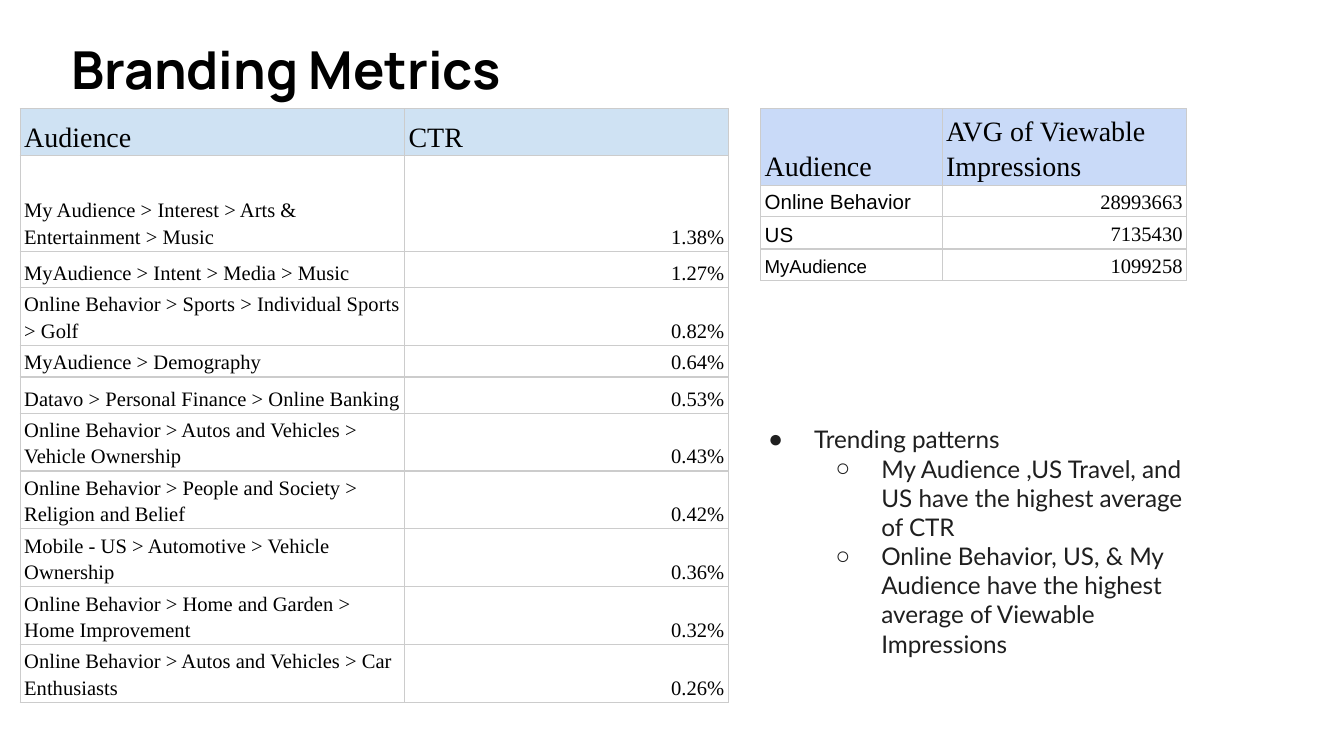
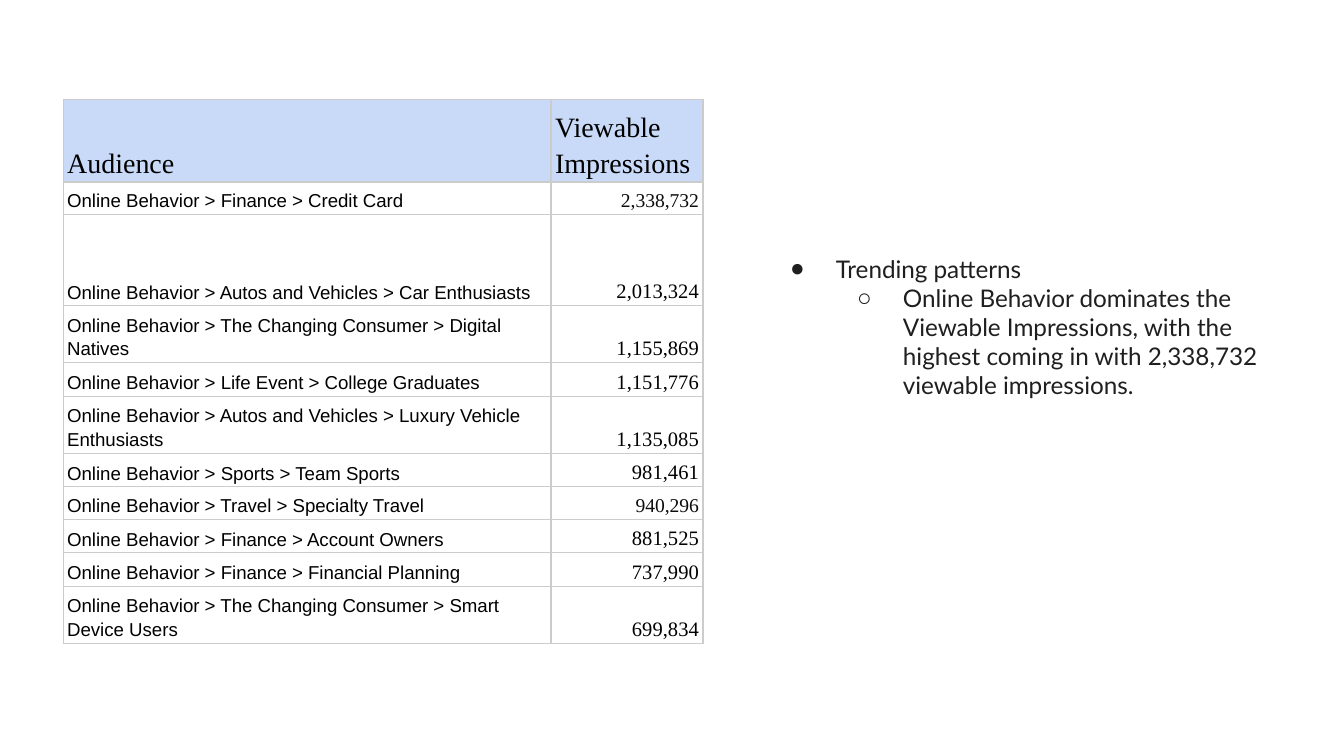
from lxml import etree
from pptx import Presentation
from pptx.dml.color import RGBColor
from pptx.enum.text import MSO_ANCHOR, PP_ALIGN
from pptx.oxml.ns import qn
from pptx.util import Inches, Pt

TOP, LOW = MSO_ANCHOR.TOP, MSO_ANCHOR.BOTTOM
LEFT, RIGHT = PP_ALIGN.LEFT, PP_ALIGN.RIGHT
TITLE_ONLY, BLANK = 5, 6

# Shared look
SERIF, SANS, BODY, HEAD = "Times New Roman", "Arial", "Lato", "Manrope"
BLACK, INK, SOFT, GRID = "000000", "1F1F1F", "0D0D0D", "CCCCCC"
SKY, BLUE = "CFE2F3", "C9DAF8"
MARKS = "●○"
SIDE = 3.28

# Table contents, header first
RATES = [
    ("Audience", "CTR"),
    ("My Audience > Interest > Arts & Entertainment > Music\t", "1.38%"),
    ("MyAudience > Intent > Media > Music", "1.27%"),
    ("Online Behavior > Sports > Individual Sports > Golf\t", "0.82%"),
    ("MyAudience > Demography\t", "0.64%"),
    ("Datavo > Personal Finance > Online Banking\t", "0.53%"),
    ("Online Behavior > Autos and Vehicles > Vehicle Ownership\t", "0.43%"),
    ("Online Behavior > People and Society > Religion and Belief\t", "0.42%"),
    ("Mobile - US > Automotive > Vehicle Ownership\t", "0.36%"),
    ("Online Behavior > Home and Garden > Home Improvement\t", "0.32%"),
    ("Online Behavior > Autos and Vehicles > Car Enthusiasts\t", "0.26%"),
]
MEANS = [
    ("Audience", "AVG of Viewable Impressions"),
    ("Online Behavior", "28993663"),
    ("US", "7135430"),
    ("MyAudience", "1099258"),
]
VIEWS = [
    ("Audience", "Viewable Impressions"),
    ("Online Behavior > Finance > Credit Card", "2,338,732"),
    ("Online Behavior > Autos and Vehicles > Car Enthusiasts", "2,013,324"),
    ("Online Behavior > The Changing Consumer > Digital Natives", "1,155,869"),
    ("Online Behavior > Life Event > College Graduates", "1,151,776"),
    ("Online Behavior > Autos and Vehicles > Luxury Vehicle Enthusiasts\t",
     "1,135,085"),
    ("Online Behavior > Sports > Team Sports\t", "981,461"),
    ("Online Behavior > Travel > Specialty Travel", "940,296"),
    ("Online Behavior > Finance > Account Owners\t", "881,525"),
    ("Online Behavior > Finance > Financial Planning", "737,990"),
    ("Online Behavior > The Changing Consumer > Smart Device Users\t",
     "699,834"),
]


def color(code):
    return RGBColor.from_string(code)


def style(font, face, size, code, bold=False):
    font.name, font.size, font.bold = face, Pt(size), bold
    font.color.rgb = color(code)


def add(parent, tag, **attrs):
    return etree.SubElement(parent, qn(tag), attrs)


def set_frame(frame):
    frame.word_wrap = True
    frame.vertical_anchor = TOP
    frame.margin_left = frame.margin_right = Inches(0.1)
    frame.margin_top = frame.margin_bottom = Inches(0.1)


def add_title(slide, box, text):
    title = slide.shapes.title
    title.left, title.top, title.width, title.height = map(Inches, box)
    frame = title.text_frame
    set_frame(frame)
    frame.text = text
    para = frame.paragraphs[0]
    para.alignment = LEFT
    style(para.runs[0].font, HEAD, 28, BLACK, True)


def add_notes(slide, box, items):
    """Bulleted list; items are (level, text) pairs."""
    frame = slide.shapes.add_textbox(*map(Inches, box)).text_frame
    set_frame(frame)
    frame.text = "\n".join(text for _, text in items)
    for para, (level, _) in zip(frame.paragraphs, items):
        para.level = level
        props = para._p.get_or_add_pPr()
        props.set("marL", str(Inches(0.5 * (level + 1))))
        props.set("indent", str(Inches(-0.34)))
        add(add(props, "a:buClr"), "a:srgbClr", val=INK)
        add(props, "a:buFont", typeface=SANS)
        add(props, "a:buChar", char=MARKS[level])
        style(para.runs[0].font, BODY, 13, INK)


def add_rules(cell):
    props = cell._tc.get_or_add_tcPr()
    for side in "LRTB":
        line = add(props, "a:ln" + side, w=str(Pt(0.75)))
        add(add(line, "a:solidFill"), "a:srgbClr", val=GRID)


def set_cell(cell, text, face, size, code, align, fill):
    cell.margin_left = cell.margin_right = Inches(0.03)
    cell.margin_top = cell.margin_bottom = Inches(0.02)
    cell.vertical_anchor = LOW
    add_rules(cell)
    if fill:
        cell.fill.solid()
        cell.fill.fore_color.rgb = color(fill)
    else:
        cell.fill.background()
    cell.text_frame.text = text
    para = cell.text_frame.paragraphs[0]
    para.alignment = align
    para.line_spacing = 1.15
    style(para.runs[0].font, face, size, code)


def add_grid(slide, spot, data, cols, rows, fill, label, odd=None):
    """Label is the first column's (face, size); odd maps cells to (size, hex)."""
    odd = odd or {}
    frame = slide.shapes.add_table(
        len(rows), len(cols), *map(Inches, spot + (SIDE, SIDE)))
    table = frame.table
    table.first_row = table.horz_banding = False
    for col, width in zip(table.columns, cols):
        col.width = Inches(width)
    for row, height in zip(table.rows, rows):
        row.height = Inches(height)
    # Sizing the rows and columns resizes the frame, so set it again
    frame.width = frame.height = Inches(SIDE)
    for r, line in enumerate(data):
        for c, text in enumerate(line):
            cell = table.cell(r, c)
            if r == 0:
                set_cell(cell, text, SERIF, 15, BLACK, LEFT, fill)
                continue
            face, points = (SERIF, 11) if c else label
            points, code = odd.get((r, c), (points, BLACK))
            set_cell(cell, text, face, points, code,
                     RIGHT if c else LEFT, None)


def brand_slide(deck):
    slide = deck.slides.add_slide(deck.slide_layouts[TITLE_ONLY])
    add_title(slide, (0.43, 0.18, 9.06, 0.63), "Branding Metrics")
    add_grid(slide, (0.15, 0.81), RATES, (2.86, 2.41),
             [0.35, 0.71, 0.27, 0.29, 0.16] + [0.27] * 6, SKY, (SERIF, 11))
    add_grid(slide, (5.66, 0.81), MEANS, (1.35, 1.82),
             [0.24, 0.23, 0.24, 0.23], BLUE, (SANS, 11),
             {(3, 0): (10, BLACK)})
    add_notes(slide, (5.46, 3.06, 3.56, 1.95), [
        (0, "Trending patterns"),
        (1, "My Audience ,US Travel, and US have the highest average of CTR"),
        (1, "Online Behavior, US, & My Audience have the highest average "
            "of Viewable Impressions"),
    ])


def view_slide(deck):
    slide = deck.slides.add_slide(deck.slide_layouts[BLANK])
    add_notes(slide, (5.62, 1.79, 3.98, 1.57), [
        (0, "Trending patterns"),
        (1, "Online Behavior dominates the Viewable Impressions, with the "
            "highest coming in with 2,338,732 viewable impressions."),
    ])
    add_grid(slide, (0.47, 0.74), VIEWS, (3.63, 1.13),
             [0.24, 0.23, 0.68, 0.23, 0.11] + [0.23] * 6, BLUE, (SANS, 10),
             {(1, 1): (10.5, SOFT), (7, 1): (10.5, SOFT)})


def main():
    deck = Presentation()
    deck.slide_width = Inches(10)
    deck.slide_height = deck.slide_width * 9 // 16
    brand_slide(deck)
    view_slide(deck)
    deck.save("out.pptx")


if __name__ == "__main__":
    main()
